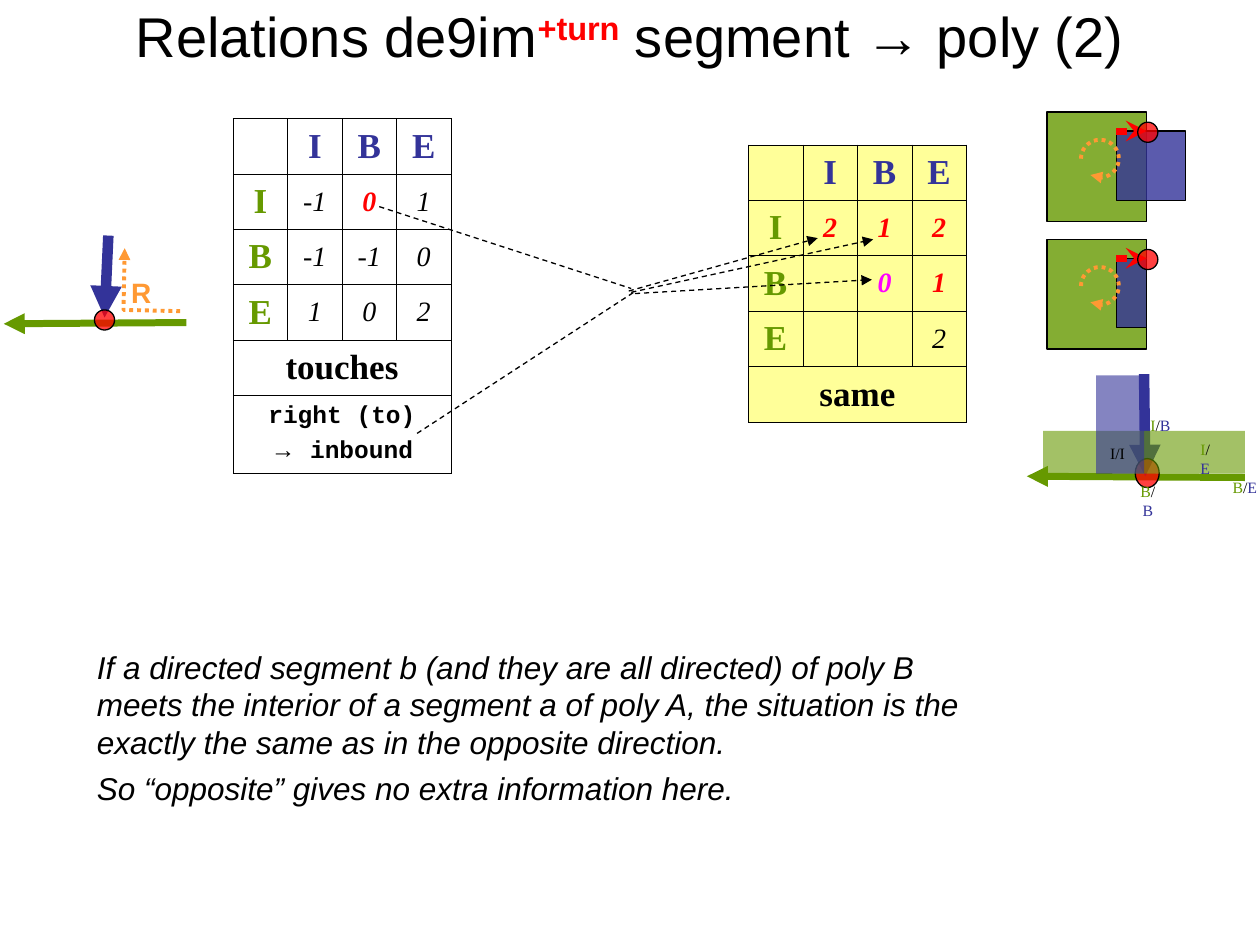
from collections import namedtuple
from dataclasses import dataclass
from math import cos, radians, sin

from lxml.etree import SubElement
from pptx import Presentation
from pptx.dml.color import RGBColor
from pptx.enum.dml import MSO_LINE
from pptx.enum.shapes import MSO_CONNECTOR, MSO_SHAPE
from pptx.enum.text import MSO_ANCHOR, MSO_AUTO_SIZE, PP_ALIGN
from pptx.oxml.ns import qn
from pptx.util import Inches, Pt

Box = namedtuple("Box", "x y w h")


@dataclass(frozen=True)
class Theme:
    """Colours, fonts and type sizes of the slide."""
    black: str = "000000"
    red: str = "FF0000"
    pink: str = "FF00FF"
    green: str = "669900"
    blue: str = "333399"
    gold: str = "FF9933"
    cream: str = "FFFF99"
    sans: str = "Arial"
    serif: str = "Times New Roman"
    mono: str = "Courier New"
    title: int = 32
    head: int = 20
    body: int = 18
    cell: int = 16
    code: int = 14
    note: int = 9


T = Theme()
HEAD = {"name": T.serif, "size": T.head, "bold": True}
CELL = {"name": T.serif, "size": T.cell, "italic": True}
CODE = {"name": T.mono, "size": T.code, "bold": True}


def apply(obj, vals):
    """Set each named attribute of an object."""
    for key, val in vals.items():
        setattr(obj, key, val)


def put(frame, paras, fmt, align=PP_ALIGN.CENTER, gap=0):
    """Write paragraphs made of (text, changes) runs into a frame."""
    for num, runs in enumerate(paras):
        para = frame.add_paragraph() if num else frame.paragraphs[0]
        apply(para, {"alignment": align, "space_before": Pt(gap)})
        for text, more in runs:
            run = para.add_run()
            run.text = text
            vals = {"color": T.black, **fmt, **more}
            run.font.color.rgb = RGBColor.from_string(vals.pop("color"))
            apply(run.font, {**vals, "size": Pt(vals["size"])})


def place(shape, box):
    """Move and size a shape to a box."""
    apply(shape, dict(zip(("left", "top", "width", "height"), map(Inches, box))))


def label(slide, box, paras, fmt, wrap=False, pad=0.0, **para):
    """Add a text box that fits its text."""
    shape = slide.shapes.add_textbox(*map(Inches, box))
    frame = shape.text_frame
    apply(frame, {"word_wrap": wrap, "auto_size": MSO_AUTO_SIZE.SHAPE_TO_FIT_TEXT,
                  "margin_left": Inches(pad), "margin_right": Inches(pad),
                  "margin_top": Inches(pad / 2), "margin_bottom": Inches(pad / 2)})
    put(frame, paras, fmt, **para)


def solid(slide, kind, box, color, alpha, edge=True):
    """Add a translucent shape, with or without a thin outline."""
    shape = slide.shapes.add_shape(kind, *map(Inches, box))
    shape.shadow.inherit = False
    shape.fill.solid()
    shape.fill.fore_color.rgb = RGBColor.from_string(color)
    tint = shape.fill._xPr.find(".//" + qn("a:srgbClr"))
    SubElement(tint, qn("a:alpha"), val=str(alpha * 1000))
    if edge:
        stroke(shape, T.black, 0.75)
    else:
        shape.line.fill.background()


def stroke(shape, color, width, dash=None, tip=None):
    """Set line colour, width, dash and end arrowhead."""
    line = shape.line
    line.color.rgb = RGBColor.from_string(color)
    apply(line, {"width": Pt(width), "dash_style": dash})
    if tip:
        SubElement(line._get_or_add_ln(), qn("a:tailEnd"), type=tip)


def link(slide, box, start, end, *style, **more):
    """Add a straight line between two points within a box."""
    ends = [Inches(val) for x, y in (start, end) for val in (box.x + x, box.y + y)]
    shape = slide.shapes.add_connector(MSO_CONNECTOR.STRAIGHT, *ends)
    stroke(shape, *style, **more)
    SubElement(shape._element.spPr, qn("a:effectLst"))


def trail(slide, box, points):
    """Add a dotted open path ending in an arrowhead."""
    first, *rest = [(Inches(box.x + x), Inches(box.y + y)) for x, y in points]
    path = slide.shapes.build_freeform(*first)
    path.add_line_segments(rest, close=False)
    shape = path.convert_to_shape()
    shape.shadow.inherit = False
    shape.fill.background()
    stroke(shape, T.gold, 2.25, MSO_LINE.ROUND_DOT, "triangle")


def heading(slide, box):
    """Fill the title placeholder."""
    shape = slide.shapes.title
    place(shape, box)
    apply(shape.text_frame, {"vertical_anchor": MSO_ANCHOR.MIDDLE, "word_wrap": True,
                             "auto_size": MSO_AUTO_SIZE.NONE})
    put(shape.text_frame, [[("Relations de9im", {}), ("+turn", {"color": T.red, "bold": True}),
                            (" segment → poly (2)", {})]], {"name": T.sans, "size": T.title})
    raised = shape.text_frame.paragraphs[0].runs[1]
    raised._r.get_or_add_rPr().set("baseline", "30000")


def turn(slide, box):
    """Draw the segment that meets a line and turns right."""
    link(slide, box, (1.45, 0.69), (0, 0.7), T.green, 4, tip="triangle")
    link(slide, box, (0.83, 0), (0.8, 0.65), T.blue, 6, tip="triangle")
    solid(slide, MSO_SHAPE.OVAL, (box.x + 0.72, box.y + 0.59, 0.16, 0.16), T.red, 75)
    trail(slide, box, [(1.4, 0.6), (0.95, 0.59), (0.96, 0.1)])
    label(slide, (box.x + 0.91, box.y + 0.27, 0.36, 0.37), [[("R", {})]],
          {"name": T.sans, "size": T.cell, "bold": True, "color": T.gold}, pad=0.1)


def edge(cell):
    """Give a cell thin black borders."""
    props = cell._tc.get_or_add_tcPr()
    for num, side in enumerate(("lnL", "lnR", "lnT", "lnB")):
        line = SubElement(props, qn("a:" + side), w=str(Pt(0.45)))
        fill = SubElement(line, qn("a:solidFill"))
        SubElement(fill, qn("a:srgbClr"), val=T.black)
        props.insert(num, line)


def matrix(slide, box, rows, feet, marks, fill=None):
    """Draw an interior, boundary and exterior table with footer rows."""
    count = 4 + len(feet)
    table = slide.shapes.add_table(count, 4, *map(Inches, box)).table
    apply(table, {"first_row": False, "horz_banding": False})
    for col in table.columns:
        col.width = Inches(box.w / 4)
    for num, row in enumerate(table.rows):
        row.height = Inches(0.44 if num < 5 else 0.62)
    for num in range(4, count):
        table.cell(num, 0).merge(table.cell(num, 3))
    for cell in table.iter_cells():
        cell.vertical_anchor = MSO_ANCHOR.MIDDLE
        if fill:
            cell.fill.solid()
            cell.fill.fore_color.rgb = RGBColor.from_string(fill)
        else:
            cell.fill.background()
        edge(cell)
    for num, name in enumerate("IBE", 1):
        for spot, color in (((0, num), T.blue), ((num, 0), T.green)):
            put(table.cell(*spot).text_frame, [[(name, {"color": color})]], HEAD, gap=5)
    for r, row in enumerate(rows, 1):
        for c, text in enumerate(row, 1):
            if text:
                mark = {"color": marks[r, c], "bold": True} if (r, c) in marks else {}
                put(table.cell(r, c).text_frame, [[(text, mark)]], CELL, gap=4)
    for num, (paras, fmt, gap) in enumerate(feet, 4):
        put(table.cell(num, 0).text_frame, paras, fmt, gap=gap)


def overlap(slide, box, wide):
    """Draw two overlapping polygons with a turn and a start arrow."""
    solid(slide, MSO_SHAPE.RECTANGLE, (box.x, box.y, 0.79, box.h), T.green, 80)
    solid(slide, MSO_SHAPE.RECTANGLE, (box.x + 0.55, box.y + 0.15, wide, 0.55), T.blue, 80)
    angles = [radians(val) for val in range(180, 490, 10)]
    trail(slide, box, [(0.42 + 0.15 * cos(a), 0.37 + 0.15 * sin(a)) for a in angles])
    link(slide, box, (0.55, 0.15), (0.79, 0.15), T.red, 4, tip="stealth")
    solid(slide, MSO_SHAPE.OVAL, (box.x + 0.72, box.y + 0.08, 0.16, 0.16), T.red, 75)


def flow(slide, box):
    """Draw the dashed lines from the left table to the right one."""
    lines = [((1.98, 0.67), (3.48, 0.25), "triangle"), ((2, 0.68), (3.92, 0.26), "triangle"),
             ((0, 0), (2, 0.65), None), ((0.3, 1.8), (2.02, 0.68), None),
             ((2.03, 0.69), (3.91, 0.58), "triangle")]
    for start, end, tip in lines:
        link(slide, box, start, end, T.black, 0.75, MSO_LINE.DASH, tip)


def zones(slide, box):
    """Draw the labelled zones where two bands cross."""
    link(slide, box, (1.73, 0.82), (0, 0.81), T.green, 4, tip="triangle")
    link(slide, box, (0.93, 0), (0.94, 0.81), T.blue, 6, tip="triangle")
    solid(slide, MSO_SHAPE.OVAL, (box.x + 0.86, box.y + 0.67, 0.19, 0.23), T.red, 75)
    for x, y, w, h, color in ((0.13, 0.45, 1.6, 0.34, T.green), (0.55, 0.01, 0.38, 0.78, T.blue)):
        solid(slide, MSO_SHAPE.RECTANGLE, (box.x + x, box.y + y, w, h), color, 60, edge=False)
    font = {"name": T.serif, "size": T.note}
    label(slide, (box.x + 0.66, box.y + 0.55, 0.12, 0.15), [[("I/I", {})]], font)
    for x, y, w, a, b in ((1.34, 0.52, 0.15, "I", "E"), (1.63, 0.82, 0.2, "B", "E"),
                          (0.86, 0.85, 0.2, "B", "B"), (0.98, 0.33, 0.16, "I", "B")):
        runs = [(a, {"color": T.green}), ("/", {}), (b, {"color": T.blue})]
        label(slide, (box.x + x, box.y + y, w, 0.15), [runs], font)


def remark(slide, box):
    """Write the closing remark."""
    texts = ("If a directed segment b (and they are all directed) of poly B meets the interior "
             "of a segment a of poly A, the situation is the exactly the same as in the "
             "opposite direction.", "So “opposite” gives no extra information here.")
    label(slide, box, [[(text, {})] for text in texts],
          {"name": T.sans, "size": T.body, "italic": True},
          wrap=True, pad=0.1, align=PP_ALIGN.LEFT, gap=4.5)


def main():
    """Build and save the slide."""
    deck = Presentation()
    apply(deck, {"slide_width": Inches(10), "slide_height": Inches(7.5)})
    slide = deck.slides.add_slide(deck.slide_layouts[5])
    heading(slide, Box(0, -0.35, 10, 1.25))
    turn(slide, Box(0.03, 1.87, 1.45, 0.75))
    code = [[("right (to)", {})], [("→", {"name": T.sans}), (" inbound", {})]]
    matrix(slide, Box(1.85, 0.94, 1.73, 2.8),
           [("-1", "0", "1"), ("-1", "-1", "0"), ("1", "0", "2")],
           [([[("touches", {})]], HEAD, 5), (code, CODE, 3.5)], {(1, 2): T.red})
    overlap(slide, Box(8.31, 0.89, 1.1, 0.87), 0.55)
    marks = {**dict.fromkeys([(1, 1), (1, 2), (1, 3), (2, 3)], T.red), (2, 2): T.pink}
    matrix(slide, Box(5.94, 1.15, 1.73, 2.2),
           [("2", "1", "2"), ("", "0", "1"), ("", "", "2")],
           [([[("same", {})]], HEAD, 5)], marks, T.cream)
    overlap(slide, Box(8.31, 1.9, 0.88, 0.87), 0.24)
    flow(slide, Box(3.01, 1.64, 3.92, 1.8))
    remark(slide, Box(0.67, 5.09, 7.28, 1.37))
    zones(slide, Box(8.15, 2.97, 1.83, 1))
    deck.save("out.pptx")


if __name__ == "__main__":
    main()
